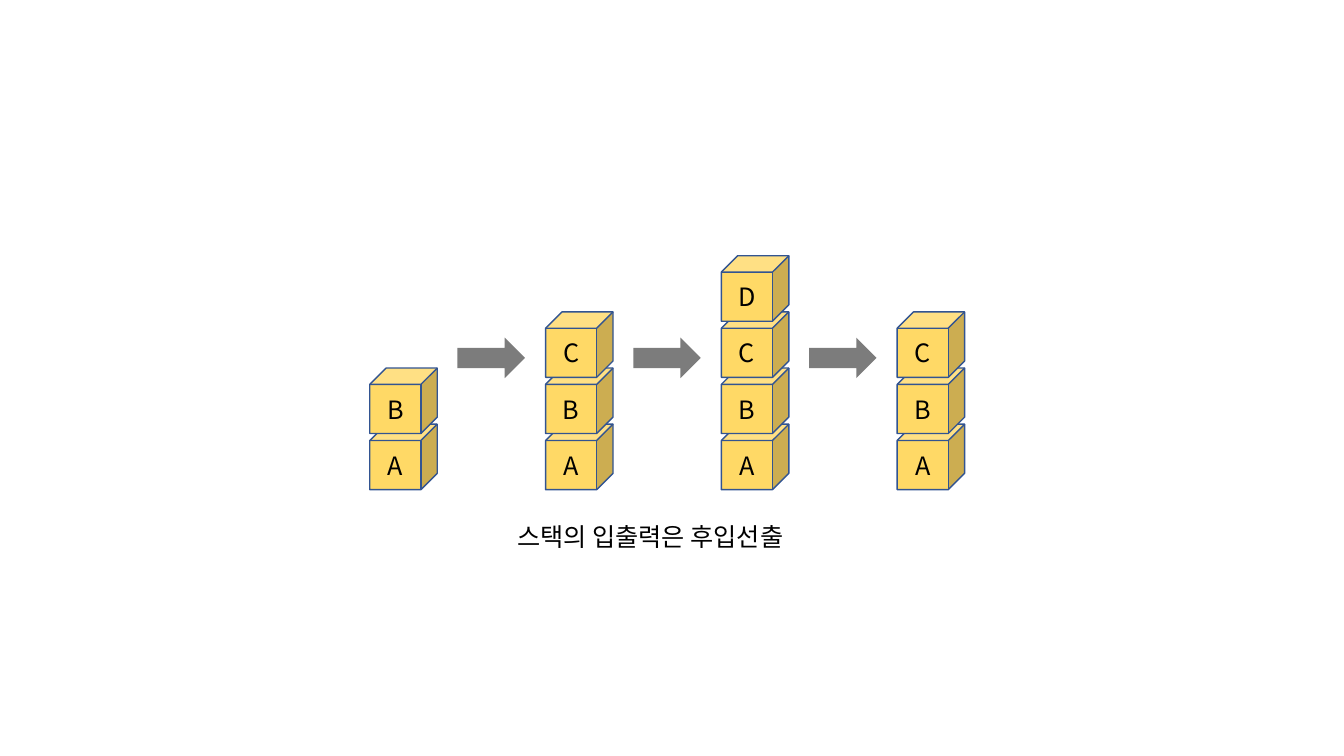
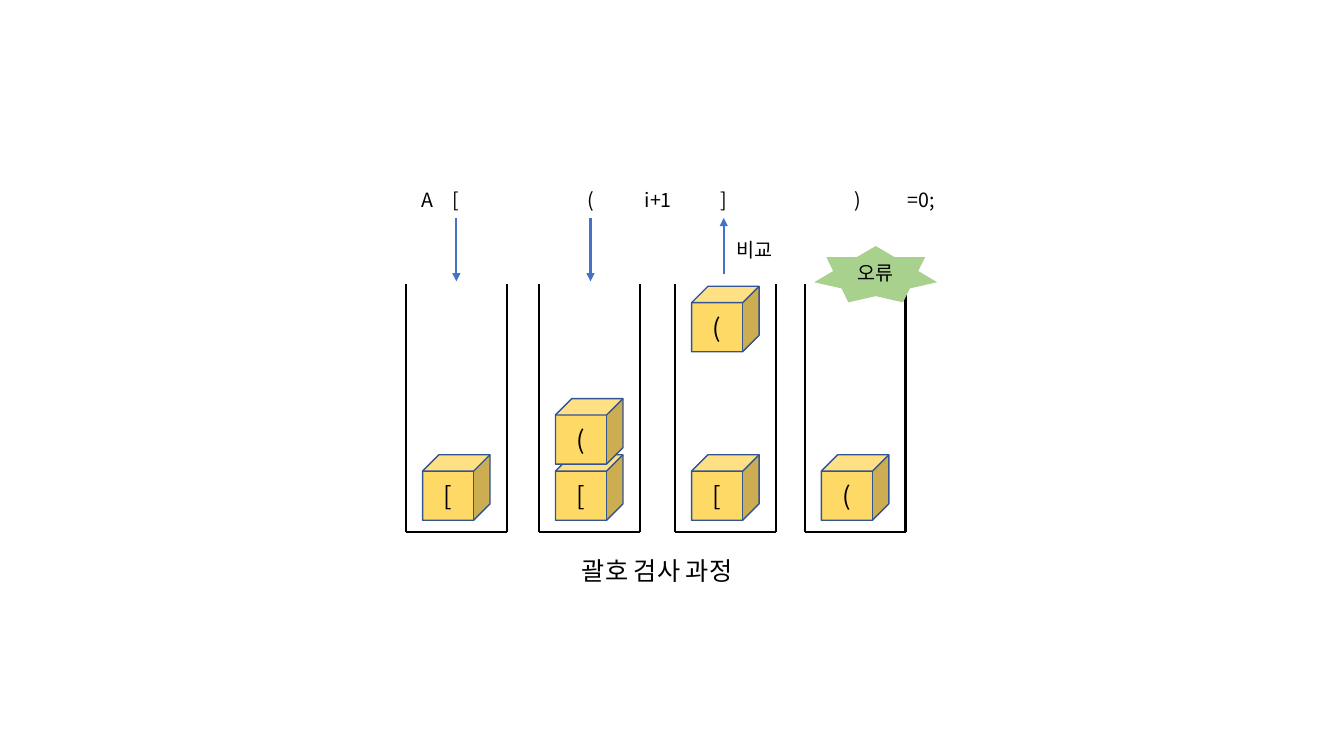
from dataclasses import dataclass

from lxml import etree
from pptx import Presentation
from pptx.dml.color import RGBColor
from pptx.enum.shapes import MSO_CONNECTOR, MSO_SHAPE
from pptx.enum.text import MSO_ANCHOR, MSO_AUTO_SIZE, PP_ALIGN
from pptx.oxml.ns import qn
from pptx.util import Cm, Pt

CUBE, ARROW, STAR = MSO_SHAPE.CUBE, MSO_SHAPE.RIGHT_ARROW, MSO_SHAPE.STAR_7_POINT
LINE = MSO_CONNECTOR.STRAIGHT
MIDDLE, CENTER = MSO_ANCHOR.MIDDLE, PP_ALIGN.CENTER
GROW = MSO_AUTO_SIZE.SHAPE_TO_FIT_TEXT


@dataclass(frozen=True)
class Theme:
    """Colours, font, type sizes and line widths."""
    font: str = "Noto Sans CJK KR"
    text: str = "000000"
    cube: str = "FFD966"
    edge: str = "325491"
    arrow: str = "7C7C7C"
    flow: str = "4472C4"
    error: str = "A9D18E"
    large: int = 18
    small: int = 14
    thin: float = 1
    thick: float = 1.5


THEME = Theme()

# Content; all lengths are in centimetres
STACKS = ["AB", "ABC", "ABCD", "ABC"]
STACK_NOTE = "스택의 입출력은 후입선출"

CHECK_NOTE = "괄호 검사 과정"
BINS = [  # left edge, (slot, bracket) pairs
    (10.24, [(0, "[")]),
    (13.59, [(0, "["), (1, "(")]),
    (17.02, [(0, "["), (3, "(")]),
    (20.29, [(0, "(")]),
]
TOKENS = [  # text, centre
    ("A", 10.77), ("[", 11.5), ("(", 14.9), ("i+1", 16.59),
    ("]", 18.24), (")", 21.62), ("=0;", 23.22),
]
FLOWS = [(11.5, 5.49, 7.09), (14.88, 5.49, 7.09), (18.24, 6.91, 5.49)]
COMPARE = ("비교", 19.02, 5.87)
ERROR = ("오류", (20.52, 6.2, 3.1, 1.42))

# Measures
WIDE, HIGH = 33.87, 19.05
CUBE_W, CUBE_H, RISE = 1.7, 1.65, 1.415
STACK_X, STACK_Y, PITCH = 9.32, 10.69, 4.43
ARROW_DX, ARROW_Y, ARROW_H = 2.21, 8.51, 1.02
BIN_W, BIN_TOP, BIN_END, BIN_PAD, BIN_Y = 2.53, 7.16, 13.41, 0.41, 11.46
TOKEN_Y, TOKEN_W, TOKEN_H = 4.62, 1.78, 0.86
NOTE_H = 1.02


def color(code):
    """Turn a hex code into a colour."""
    return RGBColor.from_string(code)


def write(shape, text, size=THEME.large, tint=THEME.text, anchor=MIDDLE):
    """Put one centred line of text into a shape."""
    frame = shape.text_frame
    frame.word_wrap = True
    frame.vertical_anchor = anchor
    para = frame.paragraphs[0]
    para.alignment = CENTER
    run = para.add_run()
    run.text = text
    run.font.size = Pt(size)
    run.font.name = THEME.font
    run.font.color.rgb = color(tint)
    east = etree.SubElement(run._r.get_or_add_rPr(), qn("a:ea"))
    east.set("typeface", THEME.font)


def label(slide, text, box, size=THEME.large):
    """Add a text box that grows with its text."""
    shape = slide.shapes.add_textbox(*map(Cm, box))
    write(shape, text, size=size, anchor=MSO_ANCHOR.TOP)
    shape.text_frame.auto_size = GROW


def block(slide, kind, box, fill, edge=None):
    """Add a filled preset shape, outlined when an edge is given."""
    shape = slide.shapes.add_shape(kind, *map(Cm, box))
    shape.shadow.inherit = False
    shape.fill.solid()
    shape.fill.fore_color.rgb = color(fill)
    if edge:
        shape.line.color.rgb = color(edge)
        shape.line.width = Pt(THEME.thin)
    else:
        shape.line.fill.background()
    return shape


def cube(slide, text, left, base, slot):
    """Add a lettered cube at a slot counted up from the base."""
    box = (left, base - slot * RISE, CUBE_W, CUBE_H)
    write(block(slide, CUBE, box, THEME.cube, edge=THEME.edge), text)


def line(slide, start, end, tint=THEME.text, head=False):
    """Add a straight line, with an arrowhead at its end on request."""
    link = slide.shapes.add_connector(LINE, *map(Cm, start + end))
    link.line.color.rgb = color(tint)
    link.line.width = Pt(THEME.thick)
    if head:
        tip = etree.SubElement(link.line._get_or_add_ln(), qn("a:tailEnd"))
        tip.set("type", "triangle")
    etree.SubElement(link._element.spPr, qn("a:effectLst"))


def bin_walls(slide, left):
    """Draw the open bin: two sides and a floor."""
    right = left + BIN_W
    for x in (left, right):
        line(slide, (x, BIN_TOP), (x, BIN_END))
    line(slide, (left, BIN_END), (right, BIN_END))


def token(slide, text, center, top=TOKEN_Y):
    """Add a small label around a centre."""
    box = (center - TOKEN_W / 2, top, TOKEN_W, TOKEN_H)
    label(slide, text, box, size=THEME.small)


def stack_slide(slide):
    """Show the stack growing and shrinking."""
    for i, names in enumerate(STACKS):
        left = STACK_X + i * PITCH
        for slot, name in enumerate(names):
            cube(slide, name, left, STACK_Y, slot)
        if i < len(STACKS) - 1:
            box = (left + ARROW_DX, ARROW_Y, CUBE_W, ARROW_H)
            block(slide, ARROW, box, THEME.arrow)
    label(slide, STACK_NOTE, (7.9, 13, 16.97, NOTE_H))


def check_slide(slide):
    """Show the bracket check step by step."""
    for left, items in BINS:
        bin_walls(slide, left)
        for slot, name in items:
            cube(slide, name, left + BIN_PAD, BIN_Y, slot)
    for text, center in TOKENS:
        token(slide, text, center)
    for x, start, end in FLOWS:
        line(slide, (x, start), (x, end), tint=THEME.flow, head=True)
    token(slide, *COMPARE)
    text, box = ERROR
    write(block(slide, STAR, box, THEME.error), text, size=THEME.small)
    label(slide, CHECK_NOTE, (7.06, 13.87, 19, NOTE_H))


def main():
    """Build and save the deck."""
    deck = Presentation()
    deck.slide_width, deck.slide_height = Cm(WIDE), Cm(HIGH)
    for draw in (stack_slide, check_slide):
        draw(deck.slides.add_slide(deck.slide_layouts[6]))
    deck.save("out.pptx")


main()
